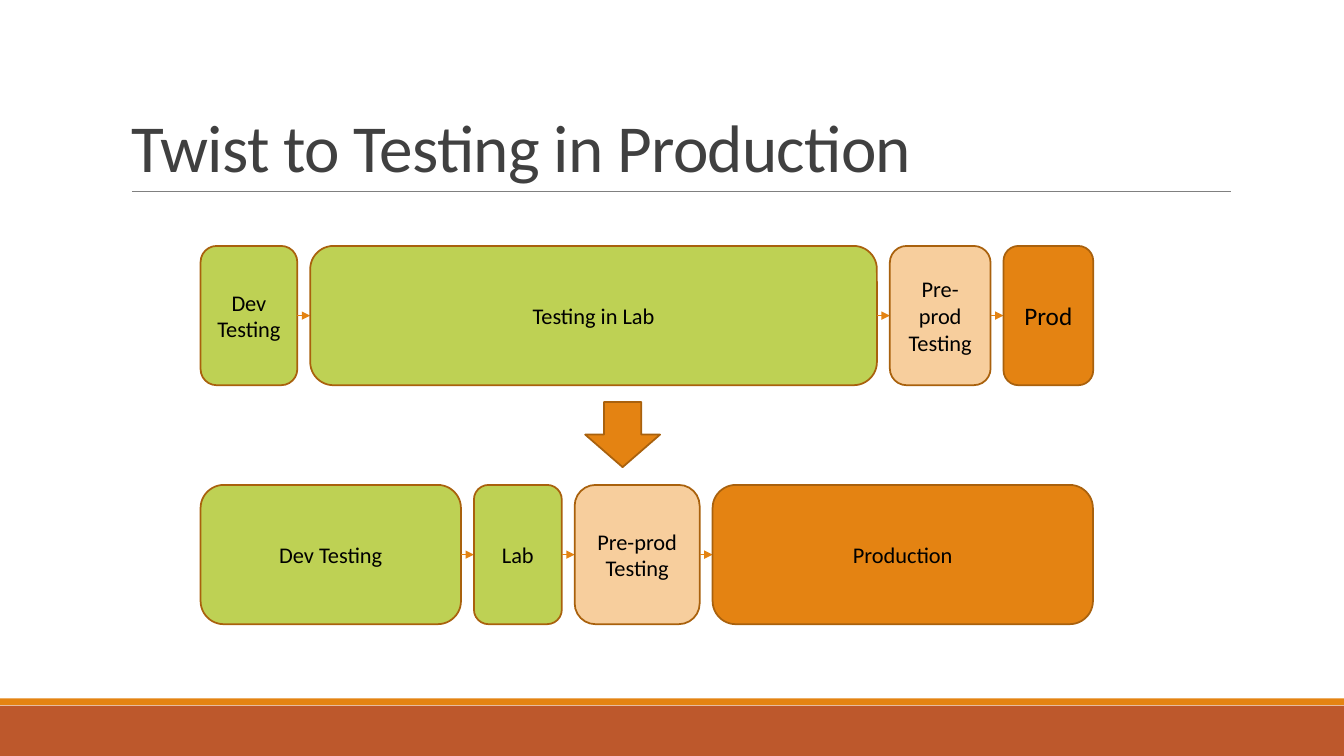
from lxml.etree import SubElement
from pptx import Presentation
from pptx.dml.color import RGBColor
from pptx.enum.shapes import MSO_CONNECTOR, MSO_SHAPE
from pptx.enum.text import MSO_ANCHOR, MSO_AUTO_SIZE, PP_ALIGN
from pptx.oxml.ns import qn
from pptx.util import Pt

COLORS = {
    "green": "BED154",
    "peach": "F7CE9D",
    "orange": "E48312",
    "rust": "BD582C",
    "edge": "A9610D",
    "rule": "808080",
    "title": "404040",
    "black": "000000",
}


def paint(name):
    return RGBColor.from_string(COLORS[name])


def write(frame, text, size=16, color="black", align=PP_ALIGN.CENTER,
          anchor=MSO_ANCHOR.MIDDLE, lead=None, track=None):
    frame.word_wrap = True
    frame.auto_size = MSO_AUTO_SIZE.NONE
    frame.vertical_anchor = anchor
    frame.text = text
    for para in frame.paragraphs:
        para.alignment = align
        para.line_spacing = lead
        for run in para.runs:
            run.font.name = "Calibri"
            run.font.size = Pt(size)
            run.font.color.rgb = paint(color)
            if track:
                run.font._element.set("spc", str(round(track * 100)))


class Deck:
    left = 143.3
    gap = 9.2
    high = 99.5

    def __init__(self):
        self.show = Presentation()
        self.show.slide_width = Pt(960)
        self.show.slide_height = Pt(540)
        self.slide = self.show.slides.add_slide(self.show.slide_layouts[5])

    def title(self, text, x, y, w, h):
        shape = self.slide.shapes.title
        shape.left, shape.top, shape.width, shape.height = map(Pt, (x, y, w, h))
        write(shape.text_frame, text, size=48, color="title", lead=0.85,
              align=PP_ALIGN.LEFT, anchor=MSO_ANCHOR.BOTTOM, track=-0.5)

    def shape(self, kind, x, y, w, h, fill, edge=None):
        shape = self.slide.shapes.add_shape(kind, *map(Pt, (x, y, w, h)))
        shape.shadow.inherit = False
        shape.fill.solid()
        shape.fill.fore_color.rgb = paint(fill)
        if edge:
            shape.line.color.rgb = paint(edge)
            shape.line.width = Pt(1.25)
        else:
            shape.line.fill.background()
        return shape

    def line(self, x, y, end, color, width, arrow=False):
        line = self.slide.shapes.add_connector(
            MSO_CONNECTOR.STRAIGHT, *map(Pt, (x, y, end, y)))
        line.line.color.rgb = paint(color)
        line.line.width = Pt(width)
        if arrow:
            SubElement(line.line._get_or_add_ln(), qn("a:tailEnd"), type="triangle")
        SubElement(line._element.spPr, qn("a:effectLst"))

    def flow(self, y, stages):
        x = self.left
        for text, width, fill, size in stages:
            if x > self.left:
                self.line(x - self.gap, y + self.high / 2, x, "orange", 1, arrow=True)
            box = self.shape(MSO_SHAPE.ROUNDED_RECTANGLE, x, y, width,
                             self.high, fill, "edge")
            write(box.text_frame, text, size=size)
            x += width + self.gap


def main():
    deck = Deck()
    deck.shape(MSO_SHAPE.RECTANGLE, 0, 504, 960, 36, "rust")
    deck.shape(MSO_SHAPE.RECTANGLE, 0, 498.8, 960, 5, "orange")
    deck.line(94.3, 136.8, 879, "rule", 0.5)
    deck.title("Twist to Testing in Production", 86.4, 22.6, 792, 114.2)
    deck.flow(175.7, [
        ("Dev Testing", 69.1, "green", 16),
        ("Testing in Lab", 404.8, "green", 16),
        ("Pre-prod\nTesting", 72, "peach", 16),
        ("Prod", 64.1, "orange", 18),
    ])
    deck.shape(MSO_SHAPE.DOWN_ARROW, 418, 287.2, 53.5, 46.5, "orange", "edge")
    deck.flow(346.4, [
        ("Dev Testing", 186, "green", 16),
        ("Lab", 62.8, "green", 16),
        ("Pre-prod\nTesting", 89.3, "peach", 16),
        ("Production", 271.7, "orange", 16),
    ])
    deck.show.save("out.pptx")


if __name__ == "__main__":
    main()
